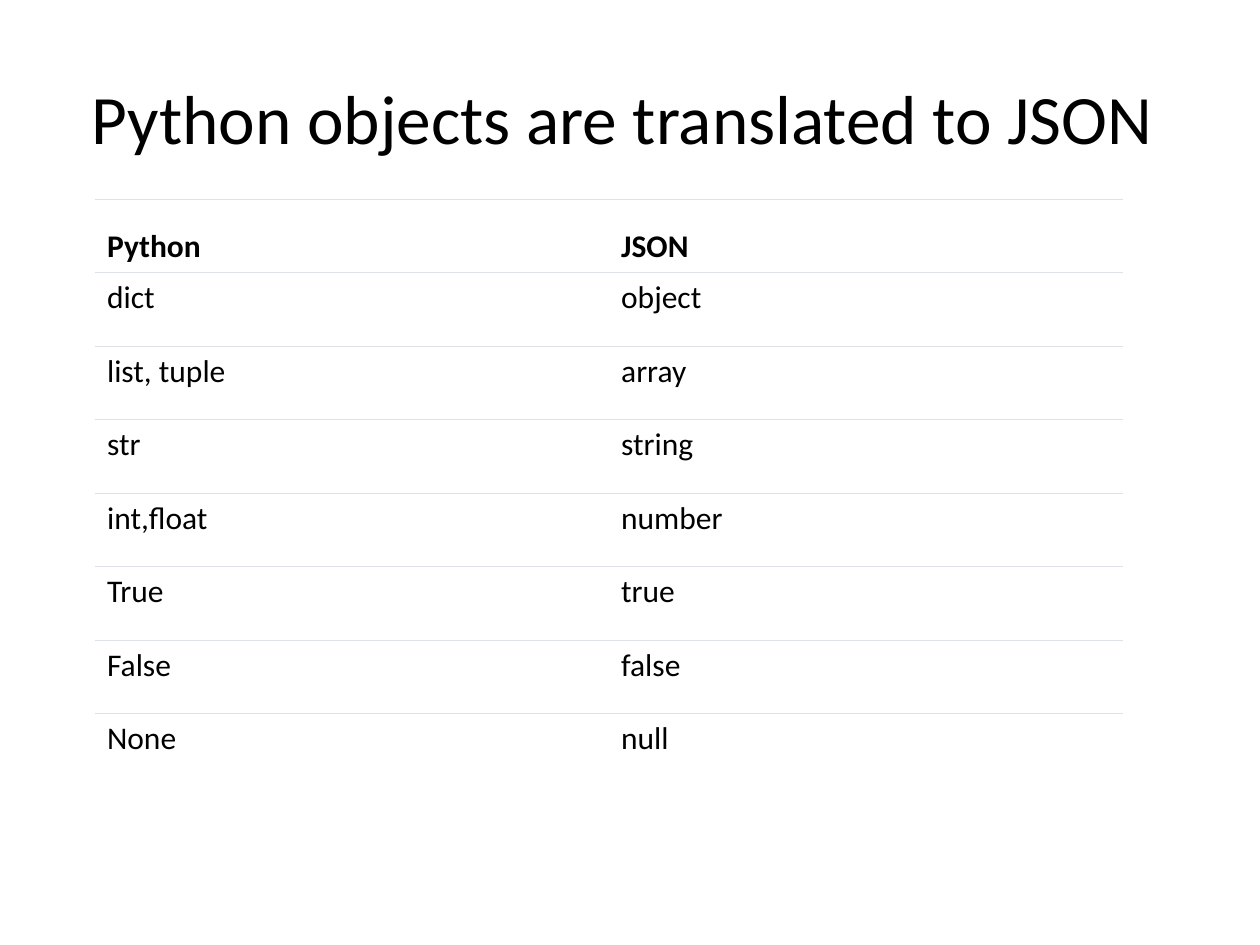
from dataclasses import dataclass
from typing import NamedTuple

from lxml import etree
from pptx import Presentation
from pptx.dml.color import RGBColor
from pptx.enum.text import MSO_ANCHOR, PP_ALIGN
from pptx.oxml.ns import qn
from pptx.slide import Slide
from pptx.table import _Cell
from pptx.text.text import _Paragraph
from pptx.util import Inches, Pt

CENTER = PP_ALIGN.CENTER
TOP, MIDDLE, BOTTOM = MSO_ANCHOR.TOP, MSO_ANCHOR.MIDDLE, MSO_ANCHOR.BOTTOM


@dataclass(frozen=True)
class Theme:
    font: str = "Calibri"
    ink: RGBColor = RGBColor(0, 0, 0)
    paper: RGBColor = RGBColor(255, 255, 255)
    rule: str = "DEE2E6"
    rule_width: float = 0.6
    title_size: float = 39.6
    cell_size: float = 18


class Translation(NamedTuple):
    python: str
    json: str


THEME = Theme()
TITLE = "Python objects are translated to JSON\u00a0"
TRANSLATIONS = [
    Translation("Python", "JSON"),
    Translation("dict", "object"),
    Translation("list,\u00a0tuple", "array"),
    Translation("str", "string"),
    Translation("int,float", "number"),
    Translation("True", "true"),
    Translation("False", "false"),
    Translation("None", "null"),
]


def style_text(paragraph: _Paragraph, size: float, bold: bool = False) -> None:
    font = paragraph.font
    font.name = THEME.font
    font.size = Pt(size)
    font.bold = bold
    font.color.rgb = THEME.ink


def set_borders(cell: _Cell, ruled_sides: str) -> None:
    properties = cell._tc.get_or_add_tcPr()
    for side in "LRTB":
        line = etree.SubElement(properties, qn(f"a:ln{side}"))
        if side in ruled_sides:
            line.set("w", str(Pt(THEME.rule_width)))
            fill = etree.SubElement(line, qn("a:solidFill"))
            etree.SubElement(fill, qn("a:srgbClr"), val=THEME.rule)
        else:
            etree.SubElement(line, qn("a:noFill"))


def add_title(slide: Slide, text: str) -> None:
    title = slide.shapes.add_textbox(Inches(0.5), Inches(0.3), Inches(9), Inches(1.25))
    frame = title.text_frame
    frame.word_wrap = True
    frame.vertical_anchor = MIDDLE
    frame.text = text
    frame.paragraphs[0].alignment = CENTER
    style_text(frame.paragraphs[0], THEME.title_size)


def add_translations(slide: Slide, translations: list[Translation]) -> None:
    table = slide.shapes.add_table(
        len(translations), len(Translation._fields),
        Inches(0.75), Inches(1.58), Inches(8.16), Inches(4.67),
    ).table
    table.first_row = True
    table.horz_banding = False
    last_row = len(translations) - 1
    for row, translation in enumerate(translations):
        is_header = row == 0
        for column, text in enumerate(translation):
            cell = table.cell(row, column)
            cell.text = text
            cell.vertical_anchor = BOTTOM if is_header else TOP
            style_text(cell.text_frame.paragraphs[0], THEME.cell_size, is_header)
            set_borders(cell, "T" if row == last_row else "TB")
            cell.fill.solid()
            cell.fill.fore_color.rgb = THEME.paper


presentation = Presentation()
presentation.slide_width = Inches(10)
presentation.slide_height = Inches(7.5)
slide = presentation.slides.add_slide(presentation.slide_layouts[6])
add_title(slide, TITLE)
add_translations(slide, TRANSLATIONS)
presentation.save("out.pptx")
